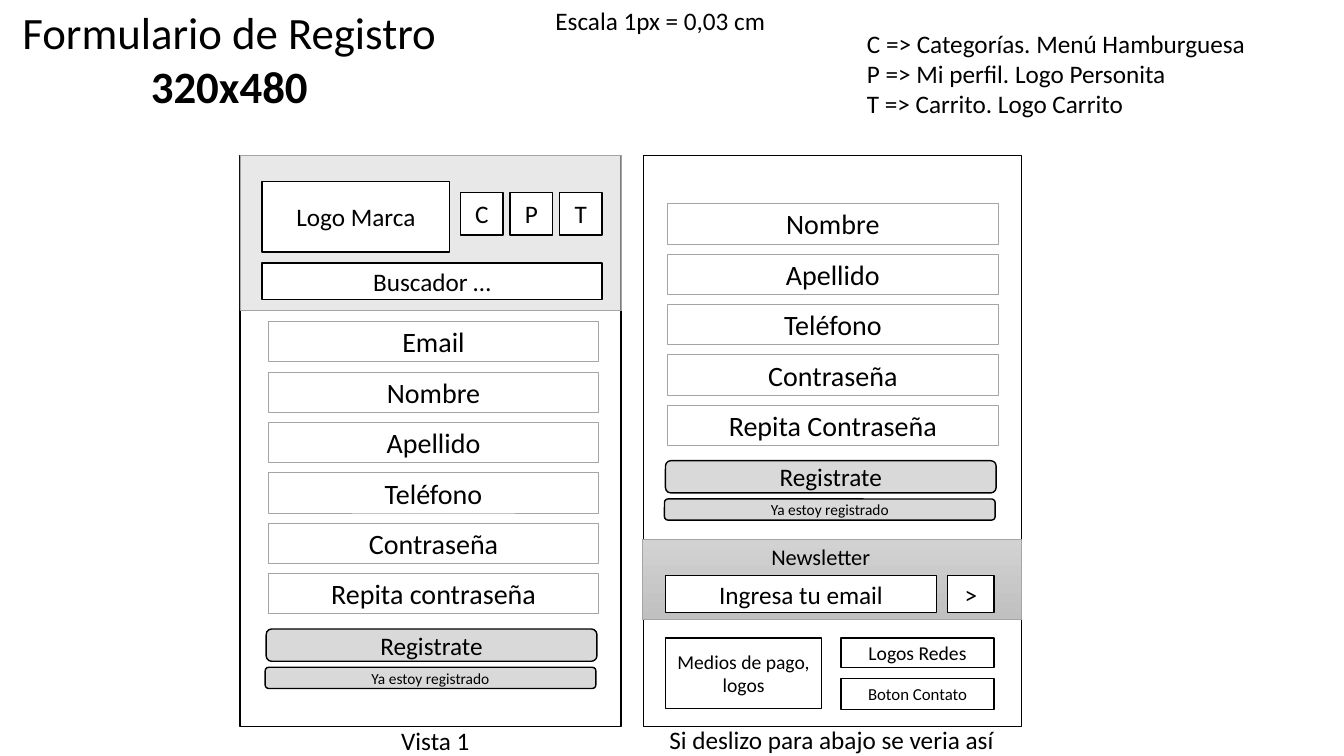
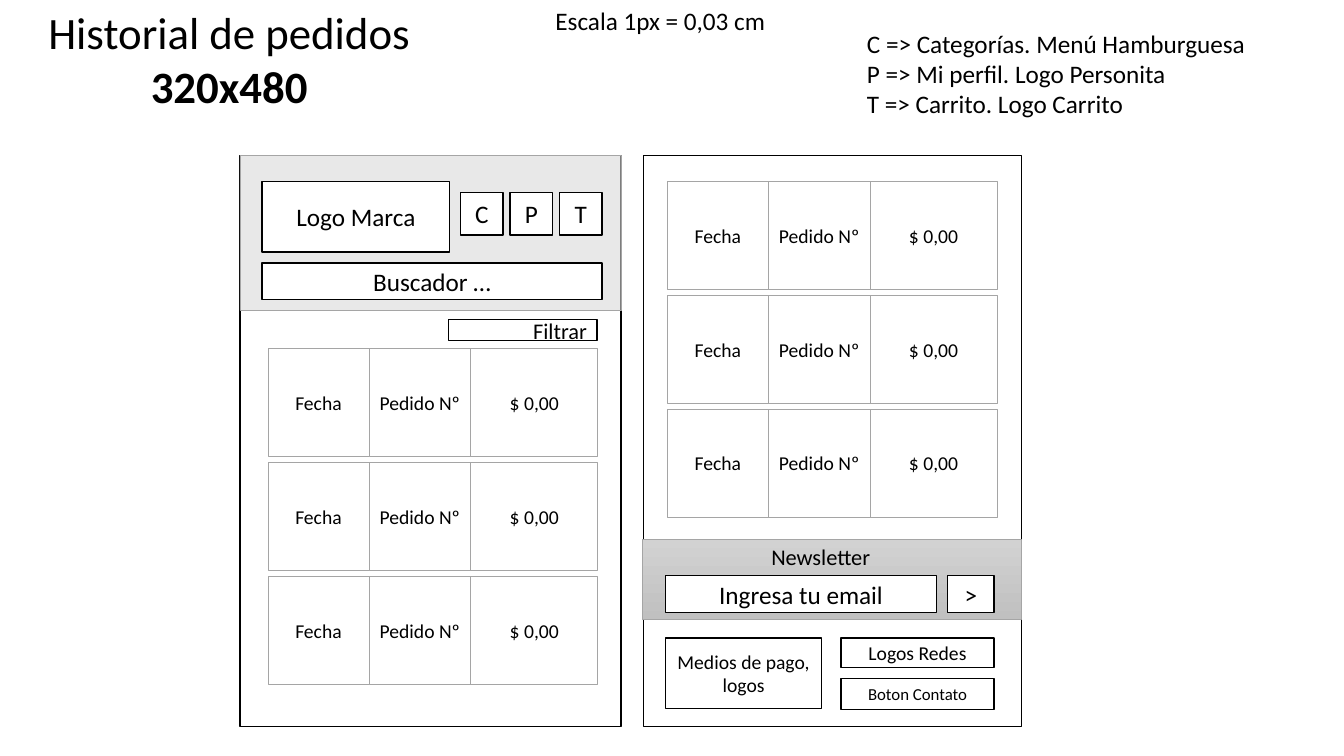
from dataclasses import dataclass

from lxml.etree import SubElement
from pptx import Presentation
from pptx.dml.color import RGBColor
from pptx.enum.shapes import MSO_SHAPE
from pptx.enum.text import MSO_ANCHOR, PP_ALIGN
from pptx.oxml.ns import qn
from pptx.util import Inches, Pt

# Content: what every slide shares
SCREEN_SIZE = "320x480"
SCALE = "Escala 1px = 0,03 cm"
LEGEND = ["C => Categorías. Menú Hamburguesa",
          "P => Mi perfil. Logo Personita",
          "T => Carrito. Logo Carrito"]
ICONS = ["C", "P", "T"]

# Content: registration form
FORM_TITLE = "Formulario de Registro"
FIRST_FIELDS = ["Email", "Nombre", "Apellido", "Teléfono", "Contraseña", "Repita contraseña"]
SCROLLED_FIELDS = ["Nombre", "Apellido", "Teléfono", "Contraseña", "Repita Contraseña"]
SUBMIT, SIGN_IN = "Registrate", "Ya estoy registrado"
CAPTIONS = [("Vista 1", (3.88, 7.15, 0.89, 0.4)),
            ("Si deslizo para abajo se veria así", (6.54, 7.14, 3.45, 0.4))]

# Content: order history
HISTORY_TITLE = "Historial de pedidos"
ORDER_COLUMNS = [("Fecha", 1), ("Pedido Nº", 1.01), ("$ 0,00", 1.26)]
ORDER_ROWS = 3


@dataclass(frozen=True)
class Theme:
    font: str = "Calibri"
    ink: str = "000000"
    paper: str = "FFFFFF"
    soft: str = "D9D9D9"
    outline: str = "A5A5A5"
    band_top: str = "D2D2D2"
    band_bottom: str = "C0C0C0"
    header_opacity: int = 58
    bold_line: float = 1
    thin_line: float = 0.5
    title: int = 32
    field: int = 20
    body: int = 18
    label: int = 16
    cell: int = 14
    small: int = 12
    tiny: int = 11


THEME = Theme()

# Grid, in inches
TOP, SCREEN_HEIGHT = 1.54, 5.67
LEFT_SCREEN, LEFT_WIDTH = 2.38, 3.78
RIGHT_SCREEN, RIGHT_WIDTH = 6.38, 3.75
HEADER_HEIGHT = 1.54
LEFT_CONTENT, RIGHT_CONTENT = 2.66, 6.62
ICON_SIZE, ICON_PITCH = 0.42, 0.49
FIELD_WIDTH, FIELD_HEIGHT, FIELD_PITCH = 3.28, 0.4, 0.5
ORDER_HEIGHT, ORDER_PITCH = 1.07, 1.13


def color(value):
    return RGBColor.from_string(value)


def write(frame, lines, size, align, bold_last=False):
    for index, line in enumerate(lines):
        para = frame.paragraphs[0] if index == 0 else frame.add_paragraph()
        para.alignment = align
        span = para.add_run()
        span.text = line
        span.font.name = THEME.font
        span.font.size = Pt(size)
        span.font.color.rgb = color(THEME.ink)
        if bold_last and index == len(lines) - 1:
            span.font.bold = True


def add_text(page, area, lines, size=THEME.body, align=PP_ALIGN.LEFT, wrap=False, bold_last=False):
    box = page.shapes.add_textbox(*map(Inches, area))
    box.text_frame.word_wrap = wrap
    write(box.text_frame, lines, size, align, bold_last)


def add_box(page, area, text=None, size=THEME.body, fill=THEME.paper, thin=False,
            align=PP_ALIGN.CENTER, kind=MSO_SHAPE.RECTANGLE):
    box = page.shapes.add_shape(kind, *map(Inches, area))
    box.shadow.inherit = False
    box.fill.solid()
    box.fill.fore_color.rgb = color(fill)
    box.line.color.rgb = color(THEME.outline if thin else THEME.ink)
    box.line.width = Pt(THEME.thin_line if thin else THEME.bold_line)
    if text:
        box.text_frame.vertical_anchor = MSO_ANCHOR.MIDDLE
        write(box.text_frame, [text], size, align)
    return box


# Parts found on both slides
def add_header(page):
    band = add_box(page, (LEFT_SCREEN, TOP, LEFT_WIDTH, HEADER_HEIGHT), fill=THEME.soft, thin=True)
    tint = band.fill._xPr.find(qn("a:solidFill"))[0]
    SubElement(tint, qn("a:alpha"), val=str(THEME.header_opacity * 1000))
    add_box(page, (2.6, 1.8, 1.86, 0.7), "Logo Marca")
    for index, icon in enumerate(ICONS):
        add_box(page, (4.57 + index * ICON_PITCH, 1.91, ICON_SIZE, ICON_SIZE), icon)
    add_box(page, (2.6, 2.61, 3.37, 0.36), "Buscador …")


def add_footer(page):
    band = add_box(page, (6.37, 5.35, 3.76, 0.8), thin=True)
    band.fill.gradient()
    band.fill.gradient_angle = 270
    for stop, shade in zip(band.fill.gradient_stops, (THEME.band_top, THEME.band_bottom)):
        stop.color.rgb = color(shade)
    add_text(page, (6.5, 5.34, 3.28, 0.37), ["Newsletter"], THEME.label, PP_ALIGN.CENTER, wrap=True)
    add_box(page, (6.6, 5.71, 2.69, 0.37), "Ingresa tu email")
    add_box(page, (9.4, 5.71, 0.46, 0.37), ">")
    add_box(page, (6.6, 6.33, 1.55, 0.7), "Medios de pago, logos", THEME.cell)
    add_box(page, (8.34, 6.33, 1.52, 0.29), "Logos Redes", THEME.cell)
    add_box(page, (8.34, 6.73, 1.52, 0.31), "Boton Contato", THEME.small)


def add_page(deck, title, title_area):
    page = deck.slides.add_slide(deck.slide_layouts[6])
    add_text(page, title_area, [title, SCREEN_SIZE], THEME.title, PP_ALIGN.CENTER, bold_last=True)
    add_text(page, (5.41, 0, 2.31, 0.4), [SCALE])
    add_text(page, (8.5, 0.23, 4, 1.01), LEGEND)
    add_box(page, (RIGHT_SCREEN, TOP, RIGHT_WIDTH, SCREEN_HEIGHT))
    add_box(page, (LEFT_SCREEN, TOP, LEFT_WIDTH, SCREEN_HEIGHT))
    add_header(page)
    add_footer(page)
    return page


# Parts of one slide
def add_form(page, left, top, fields):
    for index, name in enumerate(fields):
        add_box(page, (left, top + index * FIELD_PITCH, FIELD_WIDTH, FIELD_HEIGHT),
                name, THEME.field, thin=True)
    button_top = top + len(fields) * FIELD_PITCH + 0.05
    for text, size, shift, drop, height in [(SUBMIT, THEME.body, 0.02, 0, 0.32),
                                            (SIGN_IN, THEME.tiny, 0.03, 0.38, 0.21)]:
        add_box(page, (left - shift, button_top + drop, FIELD_WIDTH, height), text, size,
                fill=THEME.soft, kind=MSO_SHAPE.ROUNDED_RECTANGLE)


def add_orders(page, left, top):
    for row in range(ORDER_ROWS):
        cell_left = left
        for text, width in ORDER_COLUMNS:
            add_box(page, (cell_left, top + row * ORDER_PITCH, width, ORDER_HEIGHT),
                    text, THEME.cell, thin=True)
            cell_left += width


deck = Presentation()
deck.slide_width, deck.slide_height = Inches(13.33), Inches(7.5)

# Registration form
form_page = add_page(deck, FORM_TITLE, (0.1, 0, 4.35, 1.18))
add_form(form_page, LEFT_CONTENT, 3.19, FIRST_FIELDS)
add_form(form_page, RIGHT_CONTENT, 2.02, SCROLLED_FIELDS)
for caption, caption_area in CAPTIONS:
    add_text(form_page, caption_area, [caption])

# Order history
history_page = add_page(deck, HISTORY_TITLE, (0.36, 0, 3.83, 1.18))
add_box(history_page, (4.45, 3.17, 1.47, 0.21), "Filtrar", THEME.label, align=PP_ALIGN.RIGHT)
add_orders(history_page, LEFT_CONTENT, 3.46)
add_orders(history_page, RIGHT_CONTENT, 1.8)

deck.save("out.pptx")
